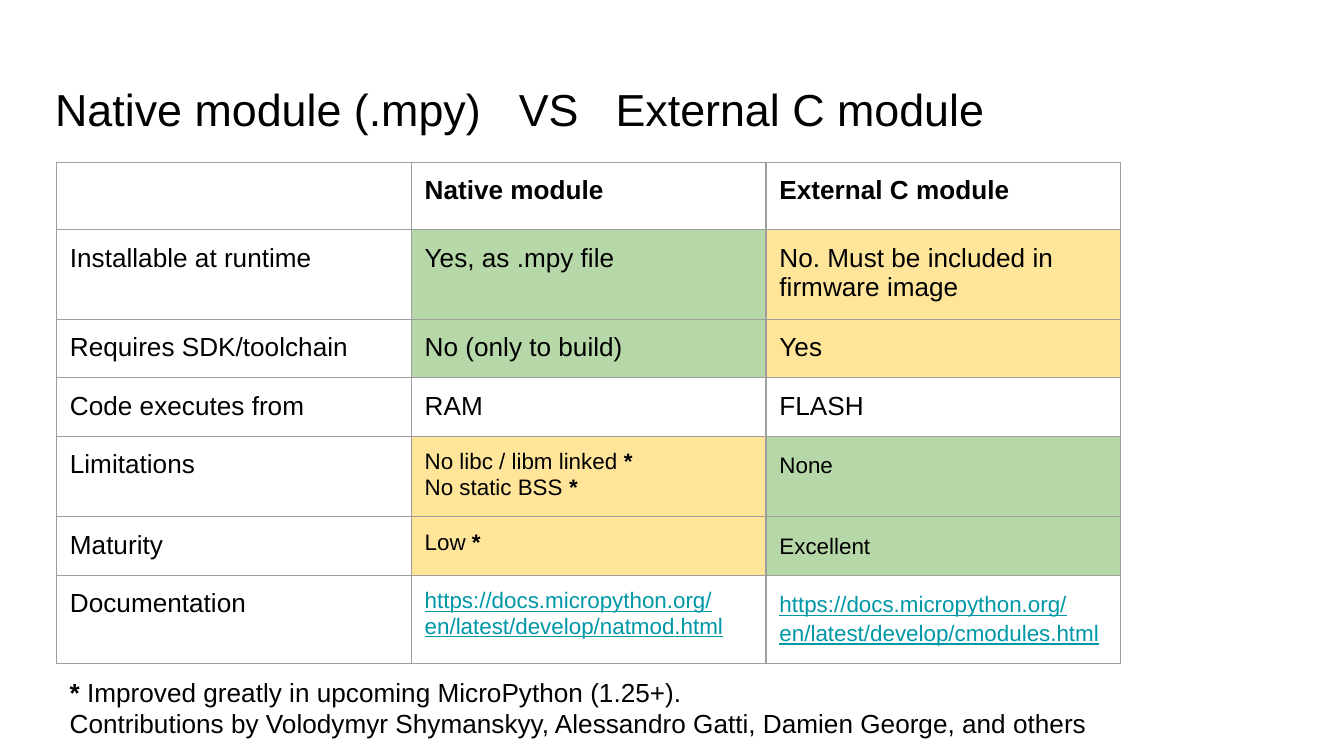
import itertools
from dataclasses import dataclass

import pptx
import pptx.dml.color
import pptx.enum.text
import pptx.oxml
import pptx.oxml.ns
import pptx.util

Inches = pptx.util.Inches


@dataclass(frozen=True)
class Theme:
    font: str = "Arial"
    text: str = "000000"
    link: str = "0097A7"
    border: str = "9E9E9E"
    good: str = "B6D7A8"
    caution: str = "FFE599"
    title_size: int = 24
    body_size: int = 14
    small_size: int = 12


THEME = Theme()
SMALL = {"size": THEME.small_size}
SPACED = {**SMALL, "spacing": {"line_spacing": 1.15, "space_after": pptx.util.Pt(12)}}
HEADER = {"bold": True}
LINK = {"color": THEME.link, "underline": True}
GOOD = {"fill": THEME.good}
CAUTION = {"fill": THEME.caution}

ROWS = [
    [("", {}), ("Native module", HEADER), ("External C module", HEADER)],
    [("Installable at runtime", {}), ("Yes, as .mpy file", GOOD),
     ("No. Must be included in firmware image", CAUTION)],
    [("Requires SDK/toolchain", {}), ("No (only to build)", GOOD), ("Yes", CAUTION)],
    [("Code executes from", {}), ("RAM", {}), ("FLASH", {})],
    [("Limitations", {}), ("No libc / libm linked *\nNo static BSS *", {**SMALL, **CAUTION}),
     ("None", {**SPACED, **GOOD})],
    [("Maturity", {}), ("Low *", {**SMALL, **CAUTION}), ("Excellent", {**SPACED, **GOOD})],
    [("Documentation", {}),
     ("https://docs.micropython.org/\nen/latest/develop/natmod.html", {**SMALL, **LINK}),
     ("https://docs.micropython.org/\nen/latest/develop/cmodules.html", {**SPACED, **LINK})],
]
FOOTNOTE = (
    "* Improved greatly in upcoming MicroPython (1.25+).\n"
    "Contributions by Volodymyr Shymanskyy, Alessandro Gatti, Damien George, and others"
)


def set_attributes(target, values):
    for name, value in values.items():
        setattr(target, name, value)


def set_margins(target, horizontal, vertical):
    set_attributes(target, {
        "margin_left": Inches(horizontal), "margin_right": Inches(horizontal),
        "margin_top": Inches(vertical), "margin_bottom": Inches(vertical),
    })


def format_font(font, size=THEME.body_size, color=THEME.text, bold=False, underline=False):
    set_attributes(font, {
        "name": THEME.font, "size": pptx.util.Pt(size), "bold": bold, "underline": underline,
    })
    font.color.rgb = pptx.dml.color.RGBColor.from_string(color)


def write_text(paragraph, text, spacing=None, bold=False, **font_values):
    set_attributes(paragraph, spacing or {})
    for mark, letters in itertools.groupby(text, lambda letter: letter if letter in "*\n" else ""):
        if mark == "\n":
            paragraph.add_line_break()
            continue
        run = paragraph.add_run()
        run.text = "".join(letters)
        format_font(run.font, bold=bold or mark == "*", **font_values)


def add_tab_stops(paragraph, positions):
    stops = "".join(f'<a:tab pos="{Inches(position)}" algn="l"/>' for position in positions)
    namespace = pptx.oxml.ns.nsdecls("a")
    properties = paragraph._p.get_or_add_pPr()
    properties.append(pptx.oxml.parse_xml(f"<a:tabLst {namespace}>{stops}</a:tabLst>"))


def add_title(slide):
    title = slide.shapes.title
    set_attributes(title, {
        "left": Inches(0.34), "top": Inches(0.61), "width": Inches(8.47), "height": Inches(0.44),
    })
    frame = title.text_frame
    set_margins(frame, 0.07, 0.04)
    set_attributes(frame, {
        "word_wrap": True,
        "vertical_anchor": pptx.enum.text.MSO_ANCHOR.MIDDLE,
        "auto_size": pptx.enum.text.MSO_AUTO_SIZE.SHAPE_TO_FIT_TEXT,
    })
    paragraph = frame.paragraphs[0]
    add_tab_stops(paragraph, [3.45, 4.17])
    spacing = {"alignment": pptx.enum.text.PP_ALIGN.LEFT, "line_spacing": 0.9}
    write_text(paragraph, "Native module (.mpy)\tVS\tExternal C module",
               spacing, size=THEME.title_size)


def add_borders(cell):
    properties = cell._tc.get_or_add_tcPr()
    namespace = pptx.oxml.ns.nsdecls("a")
    for side in ("lnL", "lnR", "lnT", "lnB"):
        properties.append(pptx.oxml.parse_xml(
            f'<a:{side} {namespace} w="{pptx.util.Pt(0.75)}"><a:solidFill>'
            f'<a:srgbClr val="{THEME.border}"/></a:solidFill></a:{side}>'
        ))


def fill_cell(cell, text, fill=None, **text_values):
    set_margins(cell, 0.1, 0.1)
    add_borders(cell)
    if fill:
        cell.fill.solid()
        cell.fill.fore_color.rgb = pptx.dml.color.RGBColor.from_string(fill)
    else:
        cell.fill.background()
    write_text(cell.text_frame.paragraphs[0], text, **text_values)


def add_comparison_table(slide):
    column_width, row_height = Inches(2.64), Inches(0.42)
    row_count, column_count = len(ROWS), len(ROWS[0])
    table = slide.shapes.add_table(
        row_count, column_count, Inches(0.42), Inches(1.21),
        column_width * column_count, row_height * row_count,
    ).table
    set_attributes(table, {"first_row": False, "horz_banding": False})
    for row, contents in zip(table.rows, ROWS):
        for cell, (text, values) in zip(row.cells, contents):
            fill_cell(cell, text, **values)


def add_footnote(slide):
    box = slide.shapes.add_textbox(Inches(0.42), Inches(4.93), Inches(9.14), Inches(0.67))
    frame = box.text_frame
    set_margins(frame, 0.1, 0.1)
    set_attributes(frame, {
        "word_wrap": True, "auto_size": pptx.enum.text.MSO_AUTO_SIZE.SHAPE_TO_FIT_TEXT,
    })
    write_text(frame.paragraphs[0], FOOTNOTE)


def main():
    presentation = pptx.Presentation()
    width = Inches(10)
    set_attributes(presentation, {"slide_width": width, "slide_height": width * 9 // 16})
    slide = presentation.slides.add_slide(presentation.slide_layouts[5])
    add_title(slide)
    add_comparison_table(slide)
    add_footnote(slide)
    presentation.save("out.pptx")


if __name__ == "__main__":
    main()
